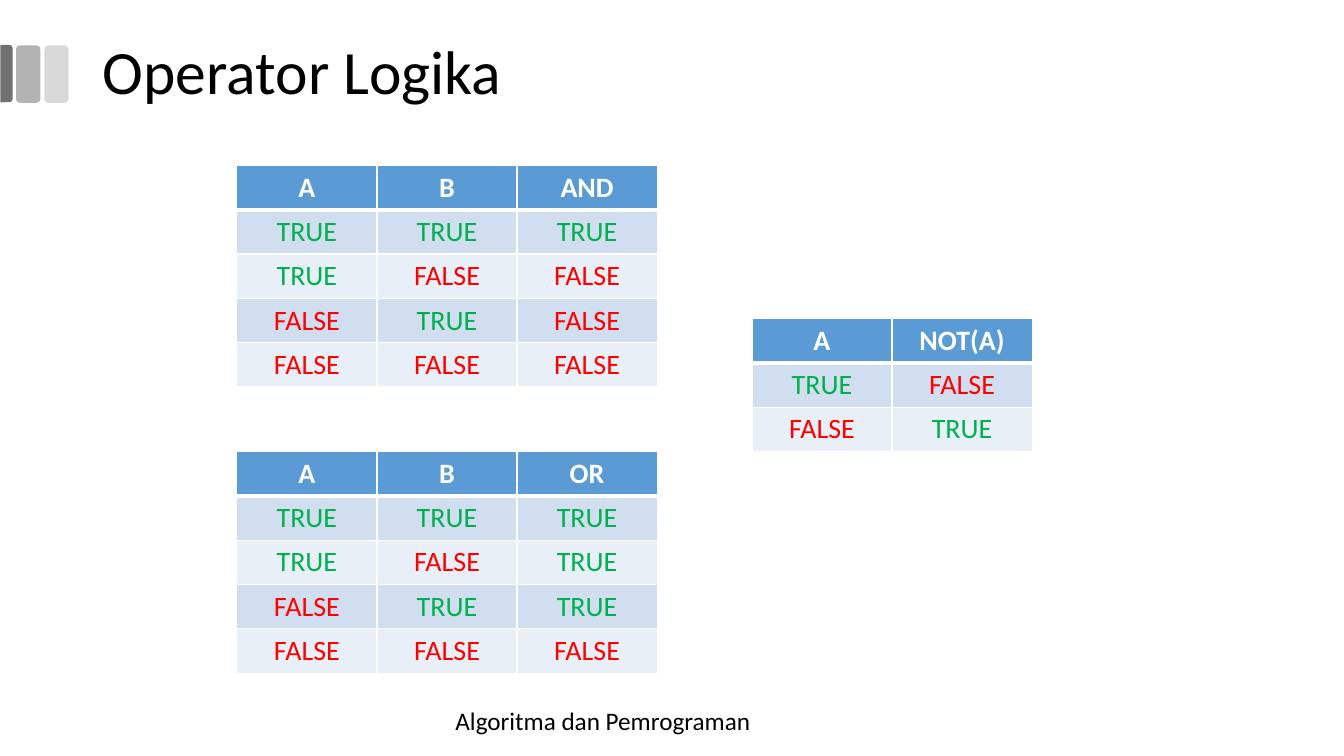
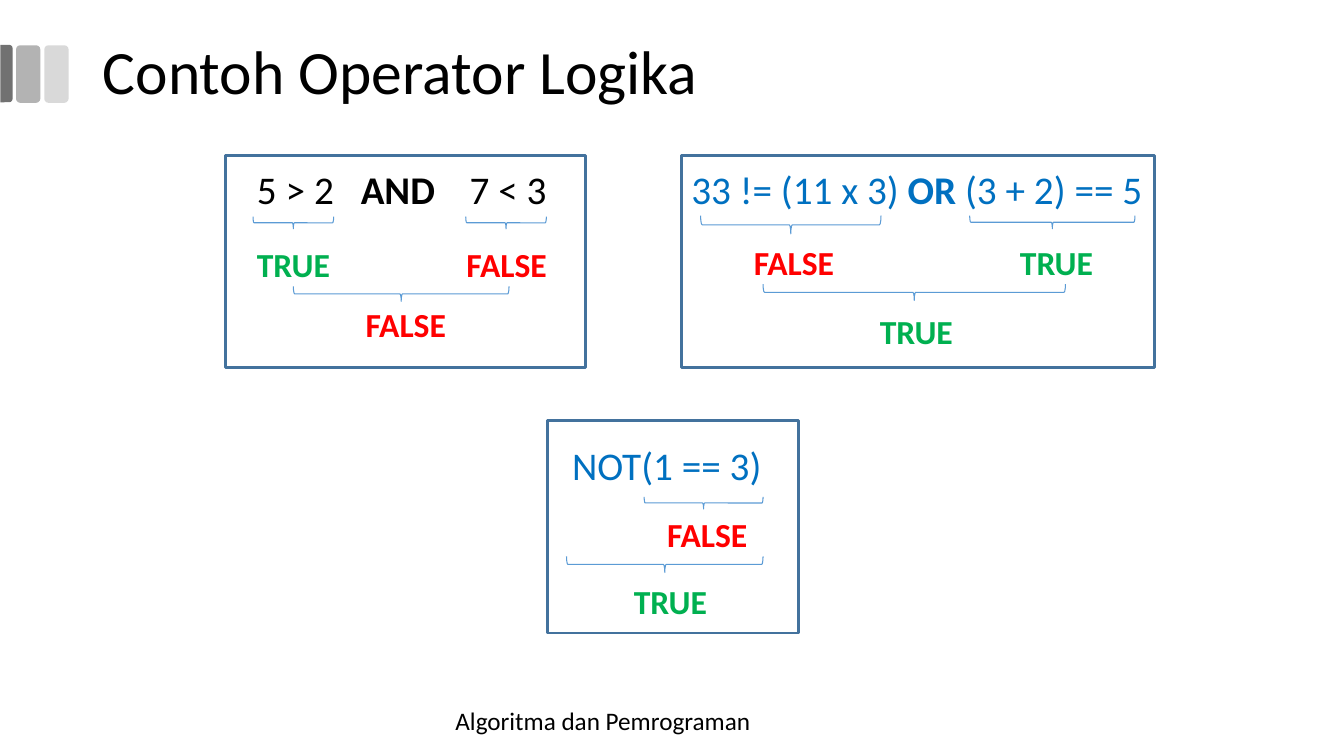
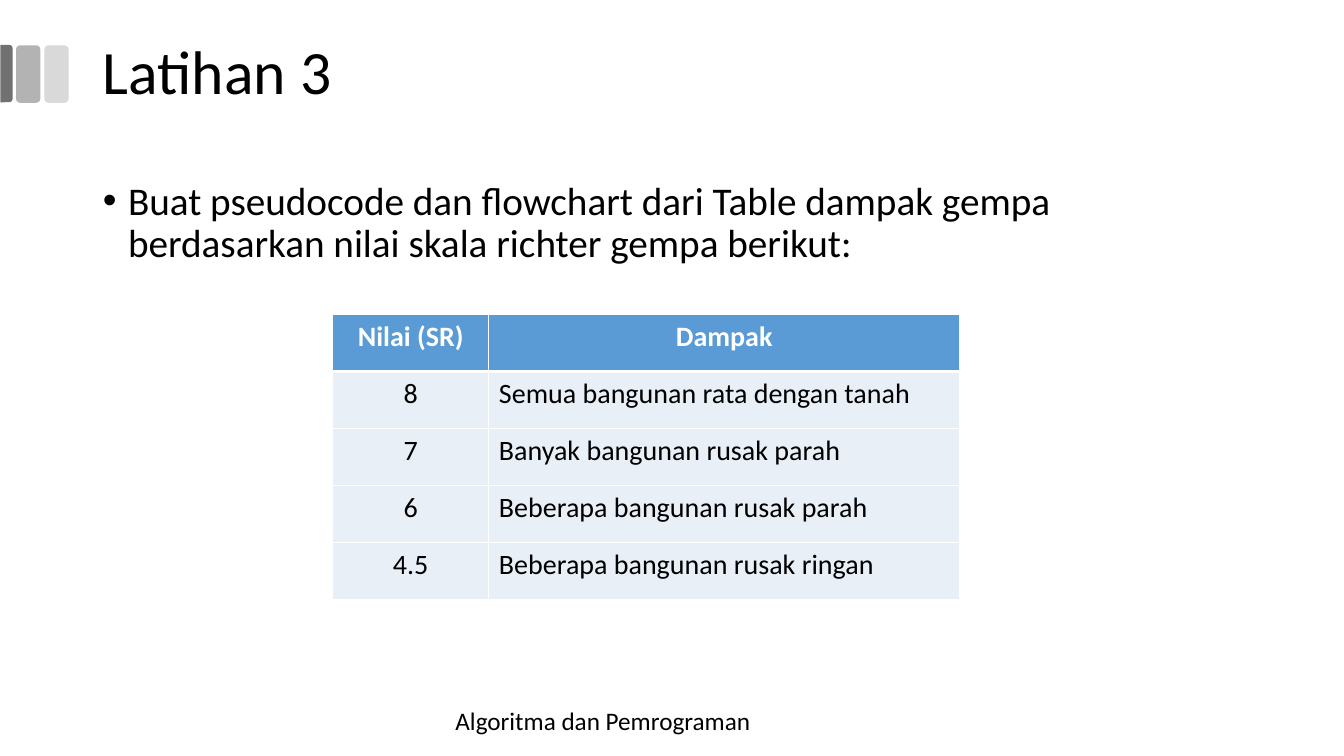
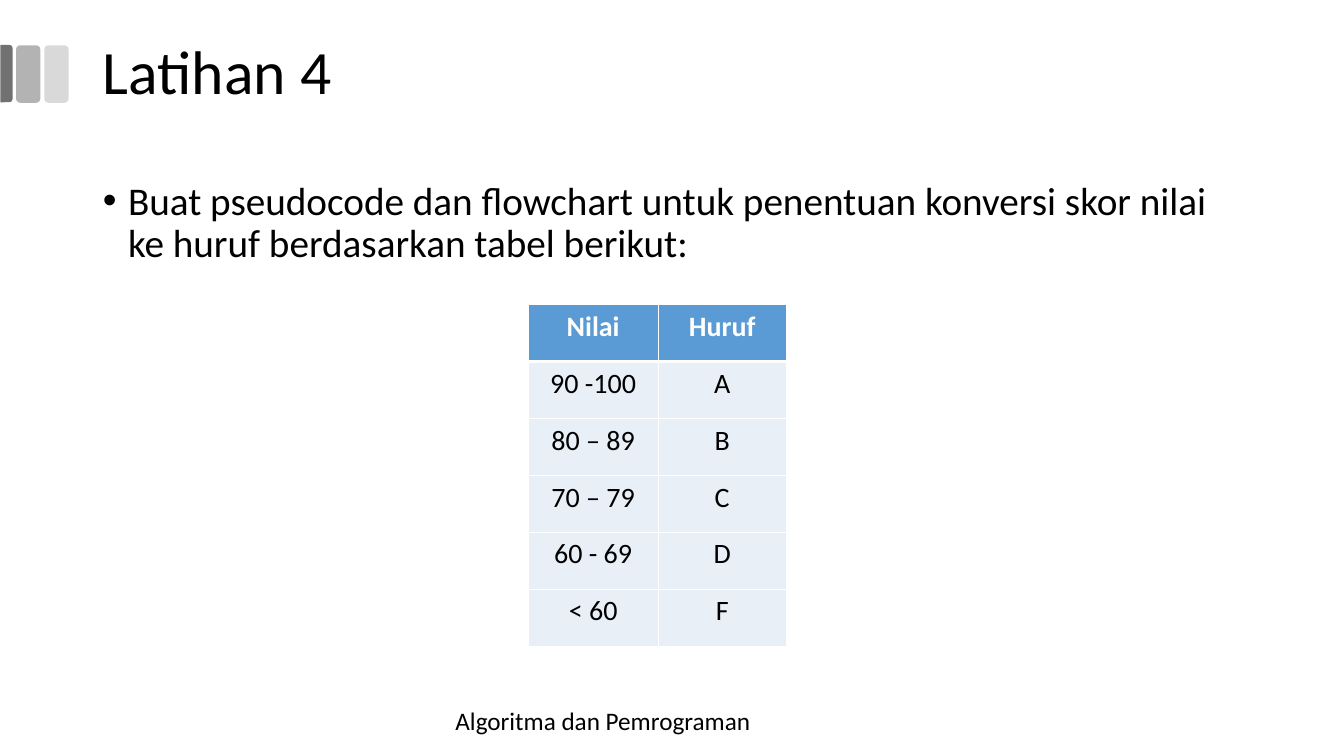
from lxml import etree
from pptx import Presentation
from pptx.dml.color import RGBColor
from pptx.enum.shapes import MSO_SHAPE
from pptx.enum.text import MSO_ANCHOR, MSO_AUTO_SIZE, PP_ALIGN
from pptx.oxml.ns import qn
from pptx.util import Inches, Pt

ROUNDED = MSO_SHAPE.ROUNDED_RECTANGLE
ROUNDED_TOP = MSO_SHAPE.ROUND_2_SAME_RECTANGLE
RECTANGLE = MSO_SHAPE.RECTANGLE
RIGHT_BRACE = MSO_SHAPE.RIGHT_BRACE
LEFT, CENTER = PP_ALIGN.LEFT, PP_ALIGN.CENTER
TOP, MIDDLE = MSO_ANCHOR.TOP, MSO_ANCHOR.MIDDLE
NO_AUTOFIT = MSO_AUTO_SIZE.NONE
TITLE_AND_BODY, TITLE_ONLY = 1, 5


class Theme:
    """Colours, font and type sizes shared by the slides."""

    font = "Calibri"
    black = "000000"
    white = "FFFFFF"
    blue = "0070C0"
    accent = "5B9BD5"
    frame = "43729D"
    row_dark = "D1DEEF"
    row_light = "E9EFF7"
    verdicts = {"TRUE": "00B050", "FALSE": "FF0000"}
    bands = ("D9D9D9", "B3B3B3", "717171")
    title_size = 44
    body_size = 28
    verdict_size = 24
    table_size = 20
    footer_size = 18
    line_spacing = 0.9
    cell_line = 0.96
    header_line = 3


def rgb(color):
    """Turn a hex string into a colour."""
    return RGBColor.from_string(color)


def place(shape, left, top, width, height):
    """Move and size a shape, in inches."""
    shape.left, shape.top = Inches(left), Inches(top)
    shape.width, shape.height = Inches(width), Inches(height)


def style(para, size, color, bold=False, align=LEFT):
    """Format a paragraph and all its runs."""
    para.alignment = align
    for span in para.runs:
        font = span.font
        font.name, font.size, font.bold = Theme.font, Pt(size), bold
        font.color.rgb = rgb(color)


def add_figure(page, kind, left, top, width, height, fill=None, line=None, weight=0.75):
    """Draw a preset shape with an optional fill and outline."""
    shape = page.shapes.add_shape(kind, Inches(left), Inches(top), Inches(width), Inches(height))
    shape.shadow.inherit = False
    if fill:
        shape.fill.solid()
        shape.fill.fore_color.rgb = rgb(fill)
    else:
        shape.fill.background()
    if line:
        shape.line.color.rgb = rgb(line)
        shape.line.width = Pt(weight)
    else:
        shape.line.fill.background()
    return shape


def add_text(page, text, left, top, width, height, size, color, bold=False, align=LEFT):
    """Add a one-paragraph text box."""
    box = page.shapes.add_textbox(Inches(left), Inches(top), Inches(width), Inches(height))
    box.text_frame.word_wrap = True
    para = box.text_frame.paragraphs[0]
    para.text = text
    style(para, size, color, bold, align)
    return box


def add_bands(deck, page):
    """Draw the three bands and move them to the slide master."""
    light, middle, dark = Theme.bands
    bands = [
        add_figure(page, ROUNDED, 0.44, 0.45, 0.24, 0.57, light),
        add_figure(page, ROUNDED, 0.16, 0.45, 0.24, 0.57, middle),
        add_figure(page, ROUNDED_TOP, -0.22, 0.67, 0.57, 0.12, dark),
    ]
    bands[2].rotation = 90
    bands[2].adjustments[0] = 0.29
    for number, band in enumerate(bands, start=101):
        band.element.find(".//" + qn("p:cNvPr")).set("id", str(number))
        deck.slide_master.shapes.element.append(band.element)


def add_page(deck, title, layout=TITLE_ONLY):
    """Add a slide with its title and footer."""
    page = deck.slides.add_slide(deck.slide_layouts[layout])
    heading = page.shapes.title
    place(heading, 0.92, 0.01, 11.5, 1.45)
    frame = heading.text_frame
    frame.text = title
    frame.vertical_anchor, frame.auto_size = MIDDLE, NO_AUTOFIT
    para = frame.paragraphs[0]
    para.line_spacing = Theme.line_spacing
    style(para, Theme.title_size, Theme.black)
    add_text(page, "Algoritma dan Pemrograman", 4.42, 6.95, 4.5, 0.4, Theme.footer_size, Theme.black)
    return page


def fill_body(page, text):
    """Write the bulleted task into the body placeholder."""
    body = page.placeholders[1]
    place(body, 0.92, 1.75, 11.5, 4.76)
    frame = body.text_frame
    frame.text = text
    frame.vertical_anchor, frame.auto_size = TOP, NO_AUTOFIT
    para = frame.paragraphs[0]
    para.line_spacing, para.space_before = Theme.line_spacing, Pt(10)
    style(para, Theme.body_size, Theme.black)
    properties = para._p.get_or_add_pPr()
    properties.set("marL", str(Inches(0.25)))
    properties.set("indent", str(Inches(-0.25)))


def set_borders(cell, top, bottom):
    """Give a cell white borders with the given top and bottom weights."""
    properties = cell._tc.get_or_add_tcPr()
    weights = {"lnL": Theme.cell_line, "lnR": Theme.cell_line, "lnT": top, "lnB": bottom}
    for position, (side, weight) in enumerate(weights.items()):
        line = etree.Element(qn("a:" + side), w=str(Pt(weight)))
        fill = etree.SubElement(line, qn("a:solidFill"))
        etree.SubElement(fill, qn("a:srgbClr"), val=Theme.white)
        properties.insert(position, line)


def add_grid(page, left, top, widths, row_height, rows, banded=False, aligns=None):
    """Add a table with a header row and white rules."""
    holder = page.shapes.add_table(
        len(rows), len(widths), Inches(left), Inches(top),
        Inches(sum(widths)), Inches(row_height * len(rows)))
    table = holder.table
    table.horz_banding = False
    aligns = aligns or [CENTER] * len(widths)
    for column, width in zip(table.columns, widths):
        column.width = Inches(width)
    for i, values in enumerate(rows):
        table.rows[i].height = Inches(row_height)
        header = i == 0
        row_fill = Theme.row_dark if banded and i % 2 else Theme.row_light
        for j, value in enumerate(values):
            cell = table.cell(i, j)
            cell.text = value
            color = Theme.white if header else Theme.verdicts.get(value, Theme.black)
            align = CENTER if header else aligns[j]
            style(cell.text_frame.paragraphs[0], Theme.table_size, color, header, align)
            cell.fill.solid()
            cell.fill.fore_color.rgb = rgb(Theme.accent if header else row_fill)
            set_borders(cell, Theme.header_line if i == 1 else Theme.cell_line,
                        Theme.header_line if header else Theme.cell_line)


def add_truth_table(page, left, top, headings, inputs, operation):
    """Add the truth table of a logical operation."""
    rows = [headings]
    for values in inputs:
        rows.append([str(value).upper() for value in (*values, operation(*values))])
    add_grid(page, left, top, [1.39] * len(headings), 0.44, rows, banded=True)


def add_expression(page, parts, left, top, width, color, align=LEFT, tabs=(), inset=0.1):
    """Write an expression whose second part is the bold operator."""
    box = add_text(page, parts[0], left, top, width, 1.84, Theme.body_size, color, align=align)
    box.text_frame.margin_left = Inches(inset)
    para = box.text_frame.paragraphs[0]
    for part in parts[1:]:
        para.add_run().text = part
    style(para, Theme.body_size, color, align=align)
    para.line_spacing, para.space_before = Theme.line_spacing, Pt(7.5)
    if len(parts) > 1:
        para.runs[1].font.bold = True
    if tabs:
        stops = etree.SubElement(para._p.get_or_add_pPr(), qn("a:tabLst"))
        for stop in tabs:
            etree.SubElement(stops, qn("a:tab"), pos=str(Inches(stop)), algn="l")


def add_brace(page, left, top, width, depth):
    """Draw a brace that lies under a span and points down."""
    brace = add_figure(page, RIGHT_BRACE, left + (width - depth) / 2, top + (depth - width) / 2,
                       depth, width, line=Theme.accent)
    brace.rotation = 90


def add_steps(page, frame, braces, verdicts):
    """Draw the evaluation steps of an expression and the frame around it."""
    for brace in braces:
        add_brace(page, *brace)
    for word, left, top in verdicts:
        add_text(page, word, left, top, 1.1, 0.5, Theme.verdict_size, Theme.verdicts[word], bold=True)
    add_figure(page, RECTANGLE, *frame, line=Theme.frame, weight=2)


def build_operators(deck):
    """Build the slide of truth tables."""
    page = add_page(deck, "Operator Logika")
    add_bands(deck, page)
    pairs = [(a, b) for a in (True, False) for b in (True, False)]
    add_truth_table(page, 2.35, 1.64, ["A", "B", "AND"], pairs, lambda a, b: a and b)
    add_truth_table(page, 2.35, 4.48, ["A", "B", "OR"], pairs, lambda a, b: a or b)
    add_truth_table(page, 7.46, 3.16, ["A", "NOT(A)"], [(True,), (False,)], lambda a: not a)


def build_examples(deck):
    """Build the slide of evaluated expressions."""
    page = add_page(deck, "Contoh Operator Logika")
    add_expression(page, ["5 > 2\t", "AND", "\t7 < 3"], 2.35, 1.64, 3.27, Theme.black,
                   tabs=(1.03, 2.11), inset=0.2)
    add_steps(page, (2.24, 1.54, 3.57, 2.11),
              [(2.51, 2.15, 0.8, 0.12), (4.62, 2.15, 0.8, 0.12), (2.91, 2.84, 2.14, 0.15)],
              [("TRUE", 2.45, 2.37), ("FALSE", 4.53, 2.37), ("FALSE", 3.53, 2.97)])
    add_expression(page, ["33 != (11 x 3) ", "OR ", "(3 + 2) == 5"], 6.76, 1.64, 4.91, Theme.blue)
    add_steps(page, (6.76, 1.54, 4.69, 2.11),
              [(6.95, 2.14, 1.79, 0.18), (9.62, 2.14, 1.64, 0.13), (7.57, 2.82, 3, 0.16)],
              [("FALSE", 7.38, 2.35), ("TRUE", 10.02, 2.35), ("TRUE", 8.63, 3.04)])
    add_expression(page, ["NOT(1 == 3)"], 4.98, 4.38, 3.27, Theme.blue, align=CENTER)
    add_steps(page, (5.43, 4.17, 2.49, 2.11),
              [(6.39, 4.93, 1.18, 0.12), (5.62, 5.52, 1.95, 0.16)],
              [("FALSE", 6.52, 5.05), ("TRUE", 6.19, 5.71)])


def build_exercise(deck, title, task, left, top, widths, rows, aligns=None):
    """Build an exercise slide with a task and its table."""
    page = add_page(deck, title, TITLE_AND_BODY)
    fill_body(page, task)
    add_grid(page, left, top, widths, 0.565, rows, aligns=aligns)


def main():
    """Build and save the deck."""
    deck = Presentation()
    deck.slide_width, deck.slide_height = Inches(40 / 3), Inches(7.5)
    build_operators(deck)
    build_examples(deck)
    build_exercise(
        deck, "Latihan 3",
        "Buat pseudocode dan flowchart dari Table dampak gempa berdasarkan nilai skala richter gempa berikut:",
        3.3, 3.12, [1.55, 4.67],
        [("Nilai (SR)", "Dampak"),
         ("8", "Semua bangunan rata dengan tanah"),
         ("7", "Banyak bangunan rusak parah"),
         ("6", "Beberapa bangunan rusak parah"),
         ("4.5", "Beberapa bangunan rusak ringan")],
        aligns=[CENTER, LEFT])
    build_exercise(
        deck, "Latihan 4",
        "Buat pseudocode dan flowchart untuk penentuan konversi skor nilai ke huruf berdasarkan tabel berikut:",
        5.24, 3.02, [1.29, 1.27],
        [("Nilai", "Huruf"), ("90 -100", "A"), ("80 – 89", "B"),
         ("70 – 79", "C"), ("60 - 69", "D"), ("< 60", "F")])
    deck.save("out.pptx")


if __name__ == "__main__":
    main()
